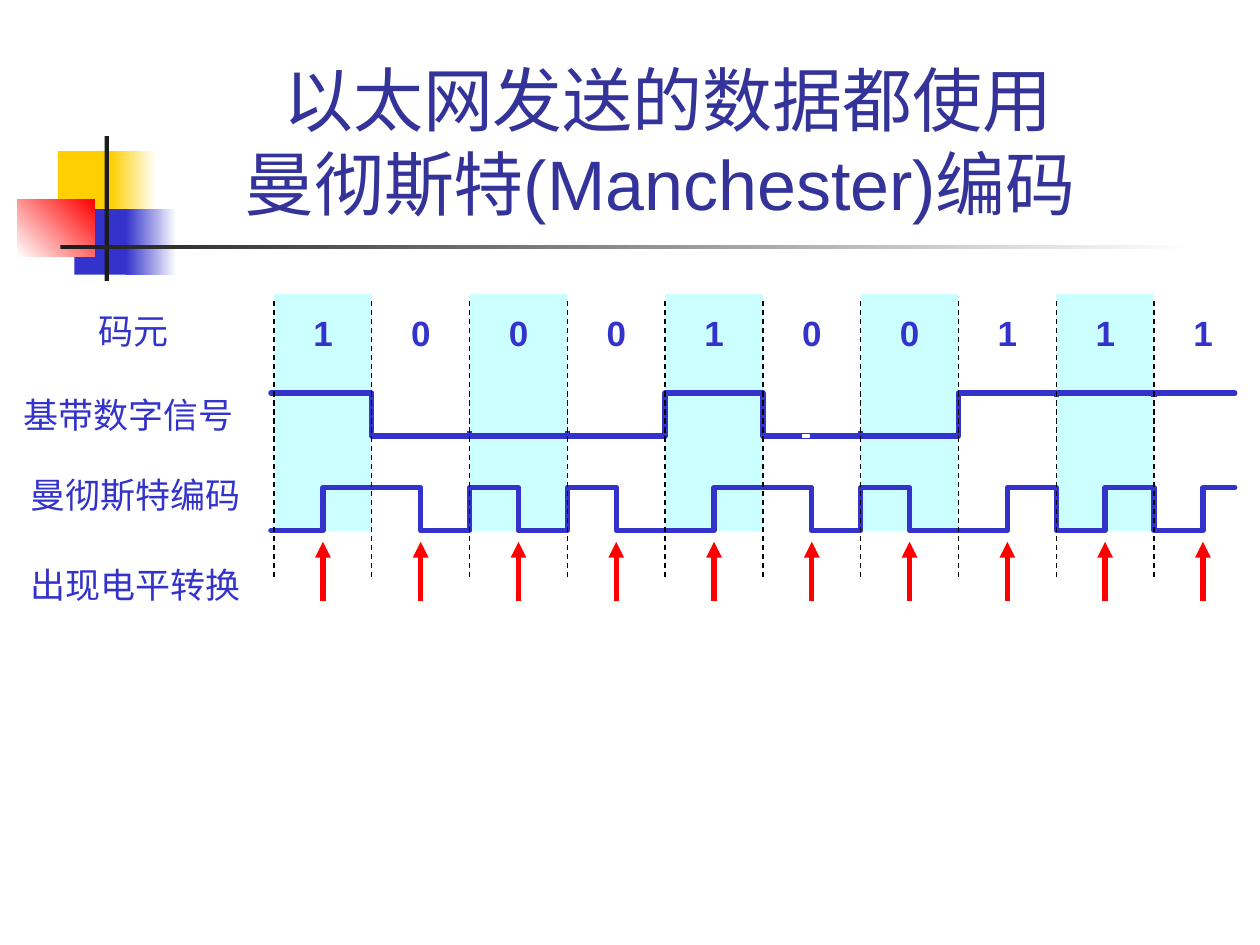
from lxml import etree
from pptx import Presentation
from pptx.dml.color import RGBColor
from pptx.enum.dml import MSO_LINE
from pptx.enum.shapes import MSO_CONNECTOR, MSO_SHAPE
from pptx.enum.text import MSO_ANCHOR, PP_ALIGN
from pptx.oxml.ns import qn
from pptx.util import Inches, Pt

RECTANGLE = MSO_SHAPE.RECTANGLE
STRAIGHT = MSO_CONNECTOR.STRAIGHT
DASH = MSO_LINE.DASH
TOP, BOTTOM = MSO_ANCHOR.TOP, MSO_ANCHOR.BOTTOM
LEFT, CENTER = PP_ALIGN.LEFT, PP_ALIGN.CENTER

BLUE = RGBColor(0x33, 0x33, 0xCC)
NAVY = RGBColor(0x33, 0x33, 0x99)
YELLOW = RGBColor(0xFF, 0xCF, 0x01)
RED = RGBColor(0xFF, 0x00, 0x00)
CYAN = RGBColor(0xCC, 0xFF, 0xFF)
CHARCOAL = RGBColor(0x1C, 0x1C, 0x1C)
BLACK = RGBColor(0x00, 0x00, 0x00)
WHITE = RGBColor(0xFF, 0xFF, 0xFF)

COLUMNS, ROWS = 100, 75
CELL = Inches(10) // COLUMNS
BITS = [1, 0, 0, 0, 1, 0, 0, 1, 1, 1]
FIRST_EDGE, BIT_WIDTH = 21.75, 7.76
WAVE_START, WAVE_END = 21.5, 98
BASEBAND_ROWS = {1: 31.2, 0: 34.6}
MANCHESTER_ROWS = {1: 38.7, 0: 42.1}


def grid(*cells):
    """Turn grid columns or rows into slide lengths."""
    return [round(cell * CELL) for cell in cells]


def edge(bit):
    """Return the column where a bit, whole or half, starts."""
    return FIRST_EDGE + bit * BIT_WIDTH


def add_block(page, place, color, end_color=None, angle=0):
    """Add a borderless rectangle with a plain or two-colour fill."""
    block = page.shapes.add_shape(RECTANGLE, *grid(*place))
    block.shadow.inherit = False
    block.line.fill.background()
    if end_color is None:
        block.fill.solid()
        block.fill.fore_color.rgb = color
    else:
        block.fill.gradient()
        block.fill.gradient_angle = angle
        for stop, shade in zip(block.fill.gradient_stops, (color, end_color)):
            stop.color.rgb = shade
    return block


def add_text(page, text, place, size=20, color=BLUE, bold=False,
             align=LEFT, anchor=TOP, wrap=False):
    """Add a text box with one format throughout."""
    box = page.shapes.add_textbox(*grid(*place))
    box.text_frame.word_wrap = wrap
    box.text_frame.vertical_anchor = anchor
    para = box.text_frame.paragraphs[0]
    para.text = text
    para.alignment = align
    for span in para.runs:
        span.font.name = "Arial"
        span.font.size = Pt(size)
        span.font.bold = bold
        span.font.color.rgb = color


def add_line(page, start, end, color, width, dash=None, arrow=False):
    """Add a straight line, dashed or with an arrowhead if asked."""
    line = page.shapes.add_connector(STRAIGHT, *grid(*start, *end))
    line.line.color.rgb = color
    line.line.width = Pt(width)
    if dash is not None:
        line.line.dash_style = dash
    if arrow:
        outline = line.line._get_or_add_ln()
        etree.SubElement(outline, qn("a:tailEnd"), type="triangle")
    etree.SubElement(line._element.spPr, qn("a:effectLst"))


def add_wave(page, levels, rows, step):
    """Draw a square wave through levels that each last a step of a bit."""
    points = [(WAVE_START, rows[levels[0]])]
    for index in range(1, len(levels)):
        before, after = levels[index - 1:index + 1]
        if before != after:
            column = edge(index * step)
            points += [(column, rows[before]), (column, rows[after])]
    points.append((WAVE_END, rows[levels[-1]]))
    corners = [grid(*point) for point in points]
    builder = page.shapes.build_freeform(*corners[0])
    builder.add_line_segments(corners[1:], close=False)
    wave = builder.convert_to_shape()
    wave.shadow.inherit = False
    wave.fill.background()
    wave.line.color.rgb = BLUE
    wave.line.width = Pt(3)
    outline = wave.line._get_or_add_ln()
    outline.set("cap", "rnd")
    etree.SubElement(outline, qn("a:round"))


def add_decoration(page):
    """Add the coloured squares and the two rules beside the title."""
    add_block(page, (4.6, 12, 4.8, 5.2), YELLOW)
    add_block(page, (8.8, 12, 3.6, 5.2), YELLOW, WHITE)
    add_block(page, (5.9, 16.6, 4.6, 5.2), BLUE)
    add_block(page, (10, 16.6, 4, 5.2), BLUE, WHITE)
    add_block(page, (1.4, 15.8, 6.1, 4.6), WHITE, RED, angle=45)
    add_block(page, (8.3, 10.8, 0.35, 11.5), CHARCOAL)
    add_block(page, (4.8, 19.45, 90, 0.35), CHARCOAL, WHITE)


def add_labels(page):
    """Add the title and the names of the diagram rows."""
    add_text(page, "以太网发送的数据都使用\v曼彻斯特(Manchester)编码 ",
             (12.6, 2.3, 80.8, 16), size=40, color=NAVY,
             align=CENTER, anchor=BOTTOM, wrap=True)
    add_text(page, "码元", (6.8, 24.1, 7.6, 4.3))
    add_text(page, "基带数字信号", (0.9, 30.7, 18.7, 4.3))
    add_text(page, "曼彻斯特编码", (1.4, 37.1, 18.7, 4.3))
    add_text(page, "出现电平转换", (1.4, 44.2, 18.7, 4.3))


def add_bits(page):
    """Add the shaded bands and the bit values."""
    for index in range(0, len(BITS), 2):
        add_block(page, (edge(index), 23.35, BIT_WIDTH, 18.8), CYAN)
    for index, bit in enumerate(BITS):
        add_text(page, str(bit), (edge(index + 0.5) - 1.75, 24.2, 3.5, 4.3),
                 bold=True, align=CENTER)


def add_signals(page):
    """Add both waves and the ticks between equal baseband bits."""
    add_wave(page, BITS, BASEBAND_ROWS, 1)
    for index in range(1, len(BITS)):
        if BITS[index] == BITS[index - 1]:
            bottom = 31.5 if BITS[index] else 34.6
            add_line(page, (edge(index), bottom), (edge(index), bottom - 0.4),
                     BLUE, 3)
    halves = [level for bit in BITS for level in (1 - bit, bit)]
    add_wave(page, halves, MANCHESTER_ROWS, 0.5)
    gap = add_block(page, (63.7, 34.5, 0.5, 0.2), WHITE)
    gap.line.color.rgb = WHITE
    gap.line.width = Pt(0.75)


def add_markers(page):
    """Add the dashed bit borders and the arrows at each mid-bit change."""
    for index in range(len(BITS)):
        add_line(page, (edge(index), 45.8), (edge(index), 23.8),
                 BLACK, 0.75, dash=DASH)
    for index in range(len(BITS)):
        middle = edge(index + 0.5)
        add_line(page, (middle, 47.7), (middle, 43), RED, 3, arrow=True)


def main():
    """Build the slide and save it."""
    deck = Presentation()
    deck.slide_width, deck.slide_height = COLUMNS * CELL, ROWS * CELL
    page = deck.slides.add_slide(deck.slide_layouts[6])
    add_decoration(page)
    add_labels(page)
    add_bits(page)
    add_signals(page)
    add_markers(page)
    deck.save("out.pptx")


if __name__ == "__main__":
    main()
